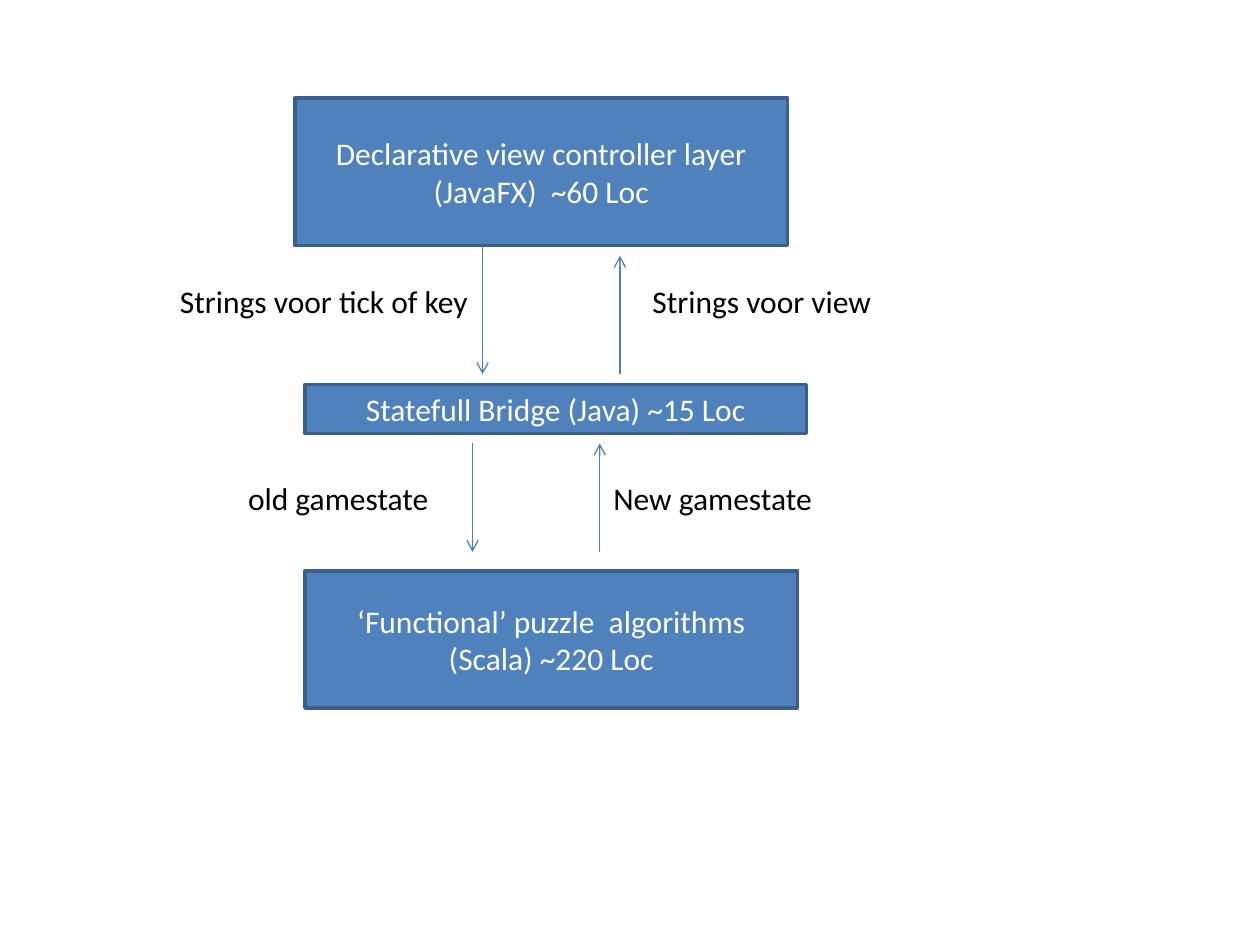
"""Builds a slide of three software layers and the messages between them."""
from dataclasses import dataclass
from typing import Any, NamedTuple

from lxml import etree
from pptx import Presentation
from pptx import util as u
from pptx.dml.color import RGBColor
from pptx.enum import shapes, text
from pptx.oxml import ns


@dataclass(frozen=True)
class Theme:
    font: str = "Calibri"
    body: u.Pt = u.Pt(18)
    fill: RGBColor = RGBColor(0x4F, 0x81, 0xBD)
    border: RGBColor = RGBColor(0x3A, 0x5F, 0x8C)
    arrow: RGBColor = RGBColor(0x4B, 0x7E, 0xBC)
    light: RGBColor = RGBColor(0xFF, 0xFF, 0xFF)
    dark: RGBColor = RGBColor(0, 0, 0)
    border_width: u.Pt = u.Pt(2)
    arrow_width: u.Pt = u.Pt(0.75)


class Layer(NamedTuple):
    wording: str
    left: float
    top: float
    width: float
    height: float


class Message(NamedTuple):
    wording: str
    left: float
    top: float
    width: float


class Flow(NamedTuple):
    x: float
    start: float
    end: float


THEME = Theme()
LABEL_HEIGHT = 0.4
UPPER_LABELS, LOWER_LABELS = 2.19, 3.75

LAYERS = [
    Layer("Declarative view controller layer\v(JavaFX)  ~60 Loc", 2.34, 0.78, 3.91, 1.17),
    Layer("Statefull Bridge (Java) ~15 Loc", 2.42, 3.05, 3.98, 0.39),
    Layer("‘Functional’ puzzle  algorithms\n(Scala) ~220 Loc", 2.42, 4.53, 3.91, 1.09),
]
MESSAGES = [
    Message("Strings voor tick of key", 1.33, UPPER_LABELS, 2.51),
    Message("old gamestate", 1.87, LOWER_LABELS, 1.65),
    Message("New gamestate", 4.77, LOWER_LABELS, 1.79),
    Message("Strings voor view", 5.08, UPPER_LABELS, 1.96),
]
FLOWS = [
    Flow(3.83, 1.95, 2.97),
    Flow(4.92, 2.97, 2.03),
    Flow(3.75, 3.52, 4.38),
    Flow(4.76, 4.38, 3.52),
]


def apply(target: Any, values: dict[str, Any]) -> None:
    for name, value in values.items():
        setattr(target, name, value)


def write(frame: Any, wording: str, color: RGBColor, align: Any, layout: dict[str, Any]) -> None:
    frame.text = wording
    apply(frame, layout)
    for paragraph in frame.paragraphs:
        paragraph.alignment = align
        for run in paragraph.runs:
            apply(run.font, {"name": THEME.font, "size": THEME.body})
            run.font.color.rgb = color


def draw_layer(slide: Any, layer: Layer) -> None:
    box = slide.shapes.add_shape(shapes.MSO_SHAPE.RECTANGLE, *map(u.Inches, layer[1:]))
    box.shadow.inherit = False
    box.fill.solid()
    box.fill.fore_color.rgb = THEME.fill
    box.line.color.rgb = THEME.border
    box.line.width = THEME.border_width
    write(box.text_frame, layer.wording, THEME.light, text.PP_ALIGN.CENTER,
          {"word_wrap": True, "vertical_anchor": text.MSO_ANCHOR.MIDDLE})


def draw_message(slide: Any, message: Message) -> None:
    label = slide.shapes.add_textbox(*map(u.Inches, (*message[1:], LABEL_HEIGHT)))
    write(label.text_frame, message.wording, THEME.dark, text.PP_ALIGN.LEFT,
          {"word_wrap": False, "auto_size": text.MSO_AUTO_SIZE.SHAPE_TO_FIT_TEXT})


def draw_flow(slide: Any, flow: Flow) -> None:
    arrow = slide.shapes.add_connector(
        shapes.MSO_CONNECTOR.STRAIGHT,
        *map(u.Inches, (flow.x, flow.start, flow.x, flow.end)))
    arrow.line.color.rgb = THEME.arrow
    arrow.line.width = THEME.arrow_width
    properties = arrow.line._get_or_add_ln()
    etree.SubElement(properties, ns.qn("a:tailEnd"), type="arrow")
    etree.SubElement(properties.getparent(), ns.qn("a:effectLst"))


def main() -> None:
    deck = Presentation()
    apply(deck, {"slide_width": u.Inches(10), "slide_height": u.Inches(7.5)})
    slide = deck.slides.add_slide(deck.slide_layouts.get_by_name("Blank"))
    for items, draw in ((LAYERS, draw_layer), (MESSAGES, draw_message), (FLOWS, draw_flow)):
        for item in items:
            draw(slide, item)
    deck.save("out.pptx")


main()
